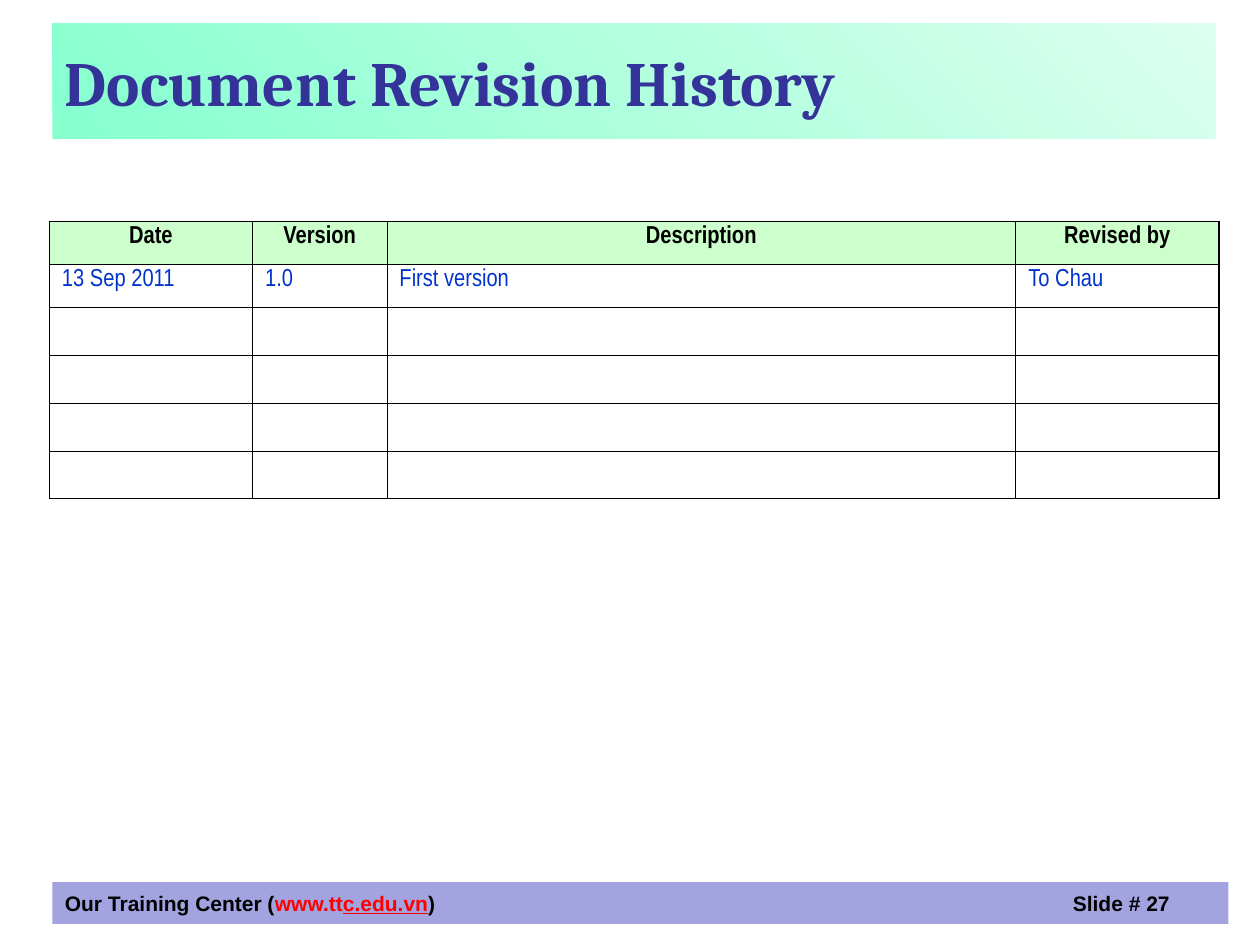
from lxml import etree
from pptx import Presentation, util as u
from pptx.dml.color import RGBColor
from pptx.enum import shapes, text
from pptx.oxml.ns import qn

COLUMNS, ROWS = 120, 90


def color(hex_string):
    return RGBColor.from_string(hex_string)


def add_text(paragraph, content, font="Arial", size=12, ink="000000", bold=False, underline=False):
    run = paragraph.add_run()
    run.text = content
    run.font.name, run.font.size = font, u.Pt(size)
    run.font.bold, run.font.underline = bold, underline
    run.font.color.rgb = color(ink)


class SlideBuilder:
    """Holds the style and the current slide; lengths are grid columns and rows."""
    heading = dict(font="Cambria", size=36, ink="333399", bold=True)
    header = dict(font="Arial Narrow", size=14, bold=True)
    body = dict(font="Arial Narrow", size=14, ink="0033CC")
    header_fill = "CCFFCC"
    outer, inner = 1.08, 0.45

    def __init__(self, presentation):
        self.column = presentation.slide_width / COLUMNS
        self.row = presentation.slide_height / ROWS
        self.slide = presentation.slides.add_slide(presentation.slide_layouts[6])

    def place(self, left, top, width, height):
        return [int(left * self.column), int(top * self.row),
                int(width * self.column), int(height * self.row)]

    def bar(self, *area, fill=None, gradient=None):
        """Draws a filled band and returns its paragraph."""
        shape = self.slide.shapes.add_shape(shapes.MSO_SHAPE.RECTANGLE, *self.place(*area))
        shape.shadow.inherit = False
        shape.line.fill.background()
        if gradient:
            shape.fill.gradient()
            shape.fill.gradient_angle = 45
            for stop, shade in zip(shape.fill.gradient_stops, gradient):
                stop.color.rgb = color(shade)
        else:
            shape.fill.solid()
            shape.fill.fore_color.rgb = color(fill)
        frame = shape.text_frame
        frame.word_wrap = True
        frame.vertical_anchor = text.MSO_ANCHOR.MIDDLE
        frame.paragraphs[0].alignment = text.PP_ALIGN.LEFT
        return frame.paragraphs[0]

    def tab_stop(self, paragraph, columns):
        tabs = etree.SubElement(paragraph._p.get_or_add_pPr(), qn("a:tabLst"))
        etree.SubElement(tabs, qn("a:tab"), pos=str(int(columns * self.column)), algn="l")

    def border(self, cell, side, width):
        line = etree.SubElement(cell._tc.get_or_add_tcPr(), qn(f"a:ln{side}"), w=str(u.Pt(width)))
        fill = etree.SubElement(line, qn("a:solidFill"))
        etree.SubElement(fill, qn("a:srgbClr"), val="000000")

    def table(self, left, top, widths, heights, records):
        area = self.place(left, top, sum(widths), sum(heights))
        table = self.slide.shapes.add_table(len(heights), len(widths), *area).table
        table.horz_banding = table.first_row = False
        for column, width in zip(table.columns, widths):
            column.width = int(width * self.column)
        last_row, last_column = len(heights) - 1, len(widths) - 1
        for r, height in enumerate(heights):
            table.rows[r].height = int(height * self.row)
            for c in range(len(widths)):
                cell = table.cell(r, c)
                cell.margin_top = cell.margin_bottom = u.Inches(0.03)
                # Heavy frame outside, thin rules inside
                edges = dict(L=c == 0, R=c == last_column, T=r == 0, B=r == last_row)
                for side, is_outer in edges.items():
                    self.border(cell, side, self.outer if is_outer else self.inner)
                if r == 0:
                    cell.fill.solid()
                    cell.fill.fore_color.rgb = color(self.header_fill)
                else:
                    cell.fill.background()
                if r < len(records):
                    paragraph = cell.text_frame.paragraphs[0]
                    if r == 0:
                        paragraph.alignment = text.PP_ALIGN.CENTER
                    add_text(paragraph, records[r][c], **(self.body if r else self.header))


def main():
    presentation = Presentation()
    presentation.slide_width, presentation.slide_height = u.Inches(10), u.Inches(7.5)
    builder = SlideBuilder(presentation)

    # Footer band
    footer = builder.bar(5, 84, 112, 4, fill="A3A3E0")
    builder.tab_stop(footer, 96)
    add_text(footer, "Our Training Center (", bold=True)
    add_text(footer, "www.tt", ink="FF0000", bold=True)
    add_text(footer, "c.edu.vn", ink="FF0000", bold=True, underline=True)
    add_text(footer, ")\tSlide # 27", bold=True)

    # Title band
    title = builder.bar(5, 2.2, 110.8, 11, gradient=("86FFCF", "DCFFEF"))
    add_text(title, "Document Revision History", **builder.heading)

    # Revision table, with four rows left empty
    builder.table(4.7, 21.1, [19.35, 12.8, 59.9, 19.35], [4.1] * 2 + [4.55] * 4, [
        ("Date", "Version", "Description", "Revised by"),
        ("13 Sep 2011", "1.0", "First version", "To Chau"),
    ])
    presentation.save("out.pptx")


if __name__ == "__main__":
    main()
